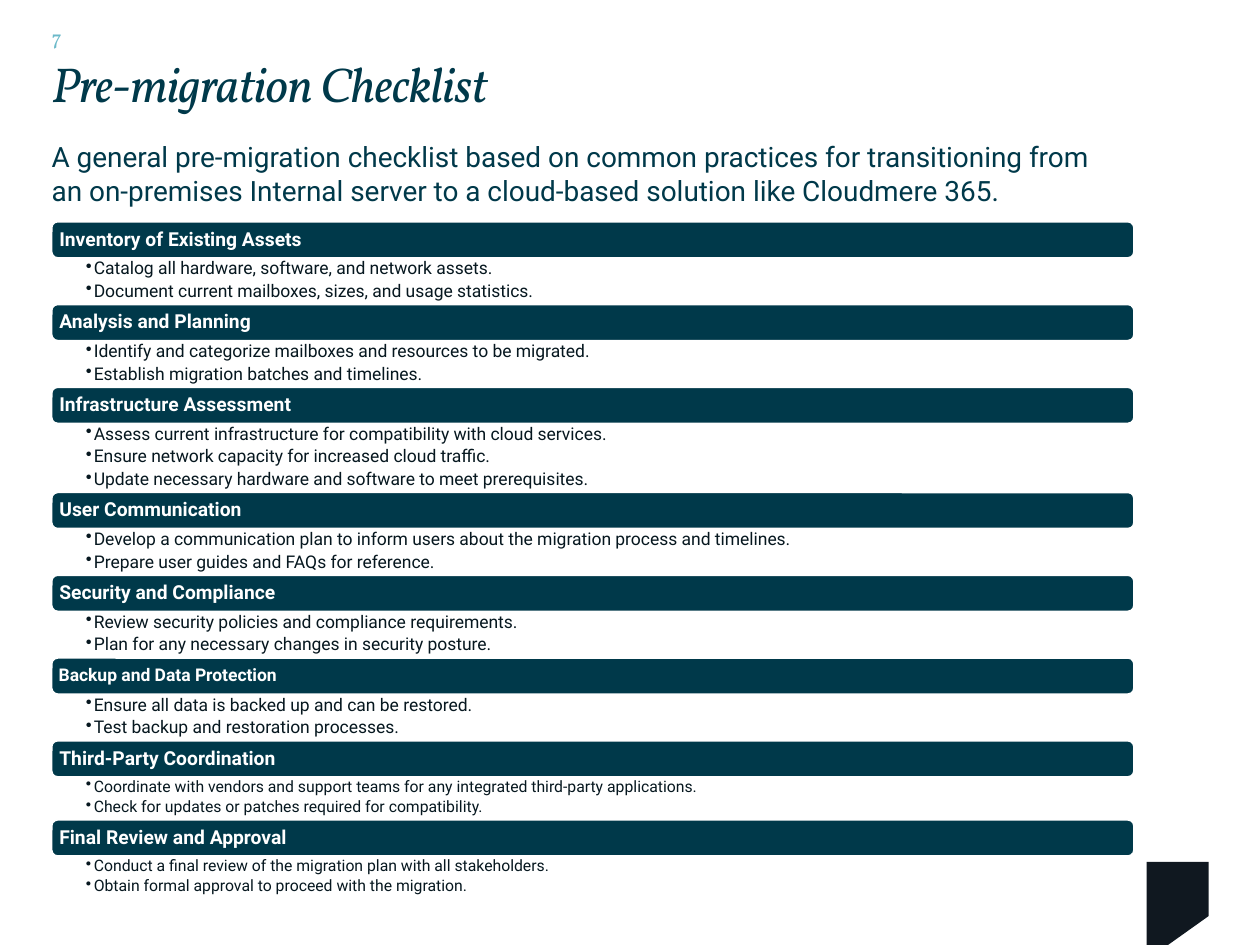
from pptx import Presentation
from pptx.dml.color import RGBColor
from pptx.enum.shapes import MSO_SHAPE as Shape
from pptx.enum.text import MSO_ANCHOR as Anchor, MSO_AUTO_SIZE as AutoSize, PP_ALIGN as Align
from pptx.oxml.ns import qn
from pptx.util import Pt

SANS, SERIF = "Roboto", "Vollkorn"
TEAL, WHITE, INK = "00394A", "FFFFFF", "06171F"
LEFT, BAR_WIDTH, BAR_HEIGHT = 29.5, 618.5, 20.7

# Heading, heading size, item size, items
CHECKLIST = [
    ("Inventory of Existing Assets", 11, 10, [
        "Catalog all hardware, software, and network assets.",
        "Document current mailboxes, sizes, and usage statistics."]),
    ("Analysis and Planning", 11, 10, [
        "Identify and categorize mailboxes and resources to be migrated.",
        "Establish migration batches and timelines."]),
    ("Infrastructure Assessment", 11, 10, [
        "Assess current infrastructure for compatibility with cloud services.",
        "Ensure network capacity for increased cloud traffic.",
        "Update necessary hardware and software to meet prerequisites."]),
    ("User Communication", 11, 10, [
        "Develop a communication plan to inform users about the migration process and timelines.",
        "Prepare user guides and FAQs for reference."]),
    ("Security and Compliance", 11, 10, [
        "Review security policies and compliance requirements.",
        "Plan for any necessary changes in security posture."]),
    ("Backup and Data Protection", 10, 10, [
        "Ensure all data is backed up and can be restored.",
        "Test backup and restoration processes."]),
    ("Third-Party Coordination", 11, 9, [
        "Coordinate with vendors and support teams for any integrated third-party applications.",
        "Check for updates or patches required for compatibility."]),
    ("Final Review and Approval", 11, 9, [
        "Conduct a final review of the migration plan with all stakeholders.",
        "Obtain formal approval to proceed with the migration."]),
]
# Height of the item area by item size and number of items
ITEMS_HEIGHT = {(10, 2): 26.6, (10, 3): 39.4, (9, 2): 24.5}


def color(value):
    return RGBColor.from_string(value)


def set_attributes(target, values):
    for name, value in values.items():
        setattr(target, name, value)


def format_frame(frame, insets=(0, 0, 0, 0), anchor=Anchor.TOP, wrap=True):
    sides = ("margin_left", "margin_top", "margin_right", "margin_bottom")
    set_attributes(frame, dict(zip(sides, map(Pt, insets))))
    set_attributes(frame, {"vertical_anchor": anchor, "word_wrap": wrap})


def write(paragraph, text, size, fill, name=SANS, spacing=1.0, after=0, **style):
    paragraph.text = text
    set_attributes(paragraph, {"alignment": Align.LEFT, "line_spacing": spacing,
                               "space_after": Pt(after)})
    font = paragraph.runs[0].font
    set_attributes(font, {"name": name, "size": Pt(size), **style})
    font.color.rgb = color(fill)


def add_text_box(slide, box, **frame_values):
    frame = slide.shapes.add_textbox(*map(Pt, box)).text_frame
    format_frame(frame, **frame_values)
    return frame


def add_bullet(paragraph, indent):
    properties = paragraph._p.get_or_add_pPr()
    properties.set("marL", str(Pt(indent)))
    properties.set("indent", str(-Pt(indent)))
    bullet = properties.makeelement(qn("a:buChar"), {"char": "•"})
    properties.append(bullet)


def add_title(slide, box):
    title = slide.shapes.title
    set_attributes(title, dict(zip(("left", "top", "width", "height"), map(Pt, box))))
    frame = title.text_frame
    format_frame(frame, wrap=False)
    frame.auto_size = AutoSize.SHAPE_TO_FIT_TEXT
    paragraph = frame.paragraphs[0]
    write(paragraph, "Pre-migration Checklist", 28, TEAL, SERIF, 0.86, italic=True)
    paragraph.runs[0]._r.get_or_add_rPr().set("spc", "-30")


def add_page_number(slide, box):
    frame = add_text_box(slide, box, insets=(5, 3, 5, 3), anchor=Anchor.MIDDLE)
    write(frame.paragraphs[0], "7", 12, "6BB9C9", SERIF)


def add_introduction(slide, box):
    frame = add_text_box(slide, box)
    write(frame.paragraphs[0],
          "A general pre-migration checklist based on common practices for transitioning "
          "from an on-premises Internal server to a cloud-based solution like Cloudmere 365.",
          16, TEAL)


def add_heading_bar(slide, box, text, size):
    bar = slide.shapes.add_shape(Shape.ROUNDED_RECTANGLE, *map(Pt, box))
    bar.shadow.inherit = False
    bar.fill.solid()
    bar.fill.fore_color.rgb = color(TEAL)
    bar.line.color.rgb = color(WHITE)
    bar.line.width = Pt(1)
    inset = 3.4 if size == 11 else 3
    format_frame(bar.text_frame, (inset,) * 4, Anchor.MIDDLE)
    write(bar.text_frame.paragraphs[0], text, size, WHITE, spacing=0.9, bold=True)


def add_items(slide, box, items, size):
    frame = add_text_box(slide, box, insets=(19.6, 1, 6, 1))
    for index, item in enumerate(items):
        paragraph = frame.add_paragraph() if index else frame.paragraphs[0]
        paragraph.level = 1
        add_bullet(paragraph, 4.5)
        write(paragraph, item, size, INK, spacing=0.9, after=0.21 * size)


def add_checklist(slide, left, top, width):
    for heading, heading_size, item_size, items in CHECKLIST:
        add_heading_bar(slide, (left, top, width, BAR_HEIGHT), heading, heading_size)
        top += BAR_HEIGHT
        height = ITEMS_HEIGHT[item_size, len(items)]
        add_items(slide, (left, top, width, height), items, item_size)
        top += height


def add_corner_tag(slide, left, top, width, height):
    right, bottom = left + width, top + height
    corners = [(right, top), (right, top + 31), (left + 12.3, bottom), (left, bottom)]
    builder = slide.shapes.build_freeform(Pt(left), Pt(top))
    builder.add_line_segments([(Pt(x), Pt(y)) for x, y in corners], close=True)
    tag = builder.convert_to_shape()
    tag.shadow.inherit = False
    tag.fill.solid()
    tag.fill.fore_color.rgb = color("101820")
    tag.line.fill.background()


def main():
    presentation = Presentation()
    set_attributes(presentation, {"slide_width": Pt(720), "slide_height": Pt(540)})
    slide = presentation.slides.add_slide(presentation.slide_layouts[5])
    # Header
    add_page_number(slide, (24.5, 6.5, 43, 29))
    add_title(slide, (LEFT, 35.3, 278.6, 29.5))
    add_introduction(slide, (LEFT, 80, 594, 40.3))
    # Body and corner
    add_checklist(slide, LEFT, 126.7, BAR_WIDTH)
    add_corner_tag(slide, 655.2, 492.5, 35.5, 47.5)
    presentation.save("out.pptx")


if __name__ == "__main__":
    main()
